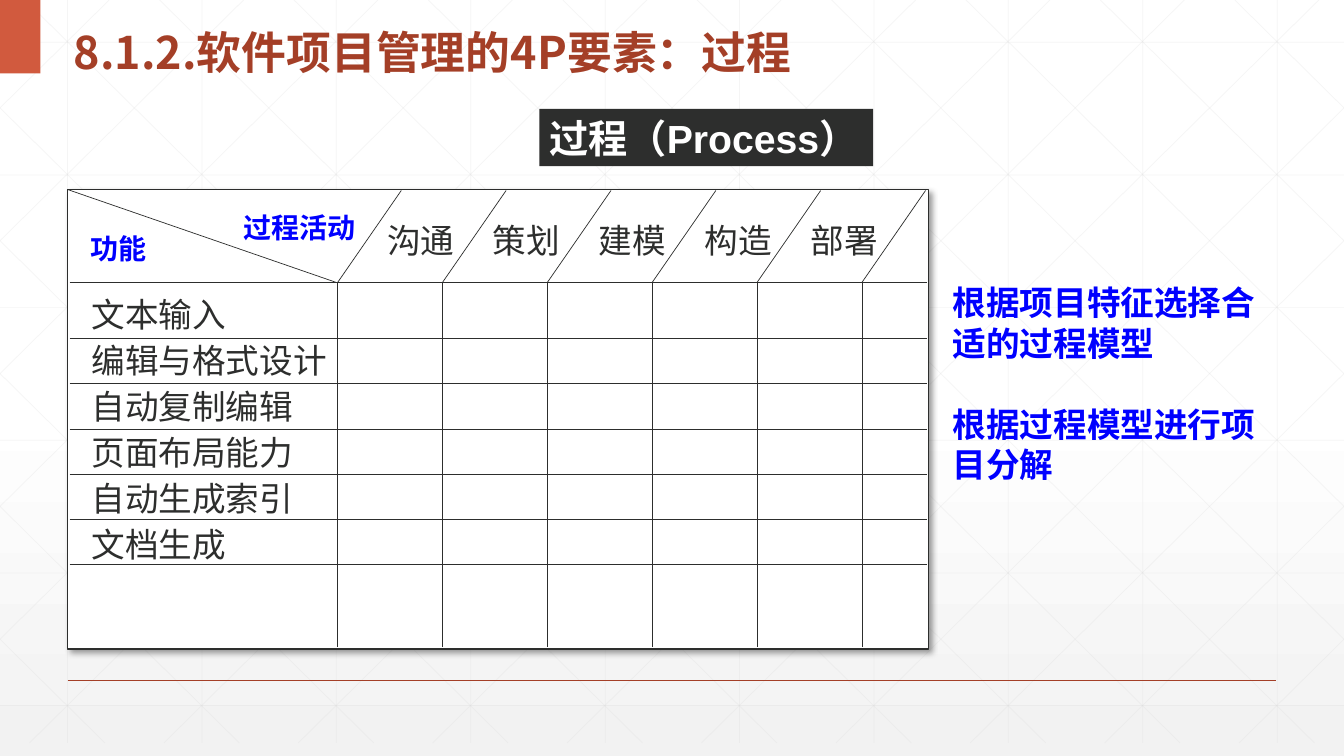
from lxml import etree
from pptx import Presentation, util as u
from pptx.dml.color import RGBColor
from pptx.enum import shapes, text
from pptx.oxml.ns import qn

W, H = 13.33, 7.5
DEPTH, STEP = 7.37, 1.333
LEFT, TOP, RIGHT, FOOT = 0.67, 1.88, 9.21, 6.44
HEAD, COL, WIDE, SLANT = 2.8, 3.35, 1.04, 0.63
ROW, TALL = 3.36, 0.448
INK, RUST, BLUE, WHITE = "2D2E2D", "A43F27", "0000FF", "FFFFFF"
STAGES = ["沟通", "策划", "建模", "构造", "部署"]
TASKS = ["文本输入", "编辑与格式设计", "自动复制编辑",
         "页面布局能力", "自动生成索引", "文档生成"]


def paint(item, tone):
    item.fill.solid()
    item.fill.fore_color.rgb = RGBColor.from_string(tone)


def line(slide, x1, y1, x2, y2, tone=INK, size=0.5, alpha=None):
    ends = [u.Inches(v) for v in (x1, y1, x2, y2)]
    rule = slide.shapes.add_connector(shapes.MSO_CONNECTOR.STRAIGHT, *ends)
    paint(rule.line, tone)
    rule.line.width = u.Pt(size)
    props = rule.element.spPr
    if alpha:
        shade = props.find(".//" + qn("a:srgbClr"))
        etree.SubElement(shade, qn("a:alpha"), val=str(alpha * 1000))
    etree.SubElement(props, qn("a:effectLst"))


def block(slide, x, y, w, h, tone, edge=None):
    area = [u.Inches(v) for v in (x, y, w, h)]
    box = slide.shapes.add_shape(shapes.MSO_SHAPE.RECTANGLE, *area)
    box.shadow.inherit = False
    paint(box, tone)
    if edge:
        paint(box.line, edge)
        box.line.width = u.Pt(1)
    else:
        box.line.fill.background()
    return box


def write(box, parts, size, tone, bold=False, font="Arial", wrap=False,
          anchor=text.MSO_ANCHOR.TOP):
    frame = box.text_frame
    frame.word_wrap = wrap
    frame.vertical_anchor = anchor
    frame.text = "\n".join(parts)
    for para in frame.paragraphs:
        para.alignment = text.PP_ALIGN.LEFT
        para.font.size = u.Pt(size)
        para.font.bold = bold
        para.font.color.rgb = RGBColor.from_string(tone)
        para.font.name = font
        props = para._p.find(".//" + qn("a:defRPr"))
        etree.SubElement(props, qn("a:ea"), typeface=font)
    return frame


def label(slide, x, y, w, h, parts, size, tone, **style):
    area = [u.Inches(v) for v in (x, y, w, h)]
    return write(slide.shapes.add_textbox(*area), parts, size, tone, **style)


def backdrop(slide):
    fill = slide.background.fill
    fill.gradient()
    fill.gradient_angle = 270
    for stop, (spot, tone) in zip(fill.gradient_stops,
                                  [(0.53, WHITE), (1, "F2F2F2")]):
        stop.position = spot
        stop.color.rgb = RGBColor.from_string(tone)

    def faint(*ends):
        line(slide, *ends, tone="D9D9D9", alpha=25)

    for i in range(10):
        faint(LEFT + STEP * i, 0, LEFT + STEP * i, DEPTH)
    for i in range(6):
        faint(0, 0.42 + 1.316 * i, W, 0.42 + 1.316 * i)
    run = 7.455
    for i in range(-5, 10):
        x = 0.25 + STEP * i
        a, b = max(0, -x / run), min(1, (W - x) / run)
        x1, x2 = x + a * run, x + b * run
        faint(x1, a * DEPTH, x2, b * DEPTH)
        faint(W - x1, a * DEPTH, W - x2, b * DEPTH)
    line(slide, LEFT, 0.9 * H, W - LEFT, 0.9 * H, RUST, 1)
    block(slide, 0, 0, 0.4, 0.73, "D15A3E")


def heading(slide):
    title = slide.shapes.title
    title.left, title.top, title.width, title.height = [
        u.Inches(v) for v in (0.63, 0.07, 11.93, 0.73)]
    frame = write(title, ["8.1.2.软件项目管理的4P要素：过程"], 32, RUST, True,
                  "Noto Sans CJK SC", True, text.MSO_ANCHOR.MIDDLE)
    frame.paragraphs[0].line_spacing = 1.3
    slide.shapes.element.append(title.element)
    bar = block(slide, 5.35, 1.08, 3.31, 0.57, INK)
    write(bar, ["过程（Process）"], 28, WHITE, True,
          anchor=text.MSO_ANCHOR.MIDDLE)


def matrix(slide):
    panel = block(slide, LEFT, TOP, RIGHT - LEFT, FOOT - TOP, WHITE, INK)
    glow = etree.SubElement(
        panel.element.spPr.find(qn("a:effectLst")), qn("a:outerShdw"),
        blurRad=str(u.Pt(4)), dist=str(u.Pt(3)), dir="2700000")
    shade = etree.SubElement(glow, qn("a:srgbClr"), val="000000")
    etree.SubElement(shade, qn("a:alpha"), val="40000")

    for y in [HEAD] + [ROW + TALL * i for i in range(len(TASKS))]:
        line(slide, LEFT + 0.02, y, RIGHT - 0.02, y)
    for i in range(len(STAGES) + 1):
        x = COL + WIDE * i
        line(slide, x + SLANT, TOP + 0.01, x, HEAD)
        line(slide, x, HEAD, x, FOOT - 0.02)
    line(slide, LEFT, TOP, COL - 0.02, HEAD)

    label(slide, 2.32, 2.04, 1.32, 0.44, ["过程活动"], 20, BLUE, bold=True)
    label(slide, 0.8, 2.25, 0.77, 0.44, ["功能"], 20, BLUE, bold=True)
    for i, stage in enumerate(STAGES):
        label(slide, 3.74 + 1.05 * i, 2.13, 0.88, 0.5, [stage], 24, INK)
    for i, task in enumerate(TASKS):
        wide = 0.2 + len(task) / 3
        label(slide, 0.81, 2.87 + 0.456 * i, wide, 0.5, [task], 24, INK)


def main():
    deck = Presentation()
    deck.slide_width, deck.slide_height = u.Inches(W), u.Inches(H)
    slide = deck.slides.add_slide(deck.slide_layouts[5])
    backdrop(slide)
    heading(slide)
    matrix(slide)
    notes = label(slide, 9.35, 2.75, 3.39, 2.12,
                  ["根据项目特征选择合适的过程模型", "根据过程模型进行项目分解"],
                  24, BLUE, bold=True, wrap=True)
    notes.paragraphs[1].space_before = u.Pt(29)
    deck.save("out.pptx")


if __name__ == "__main__":
    main()
